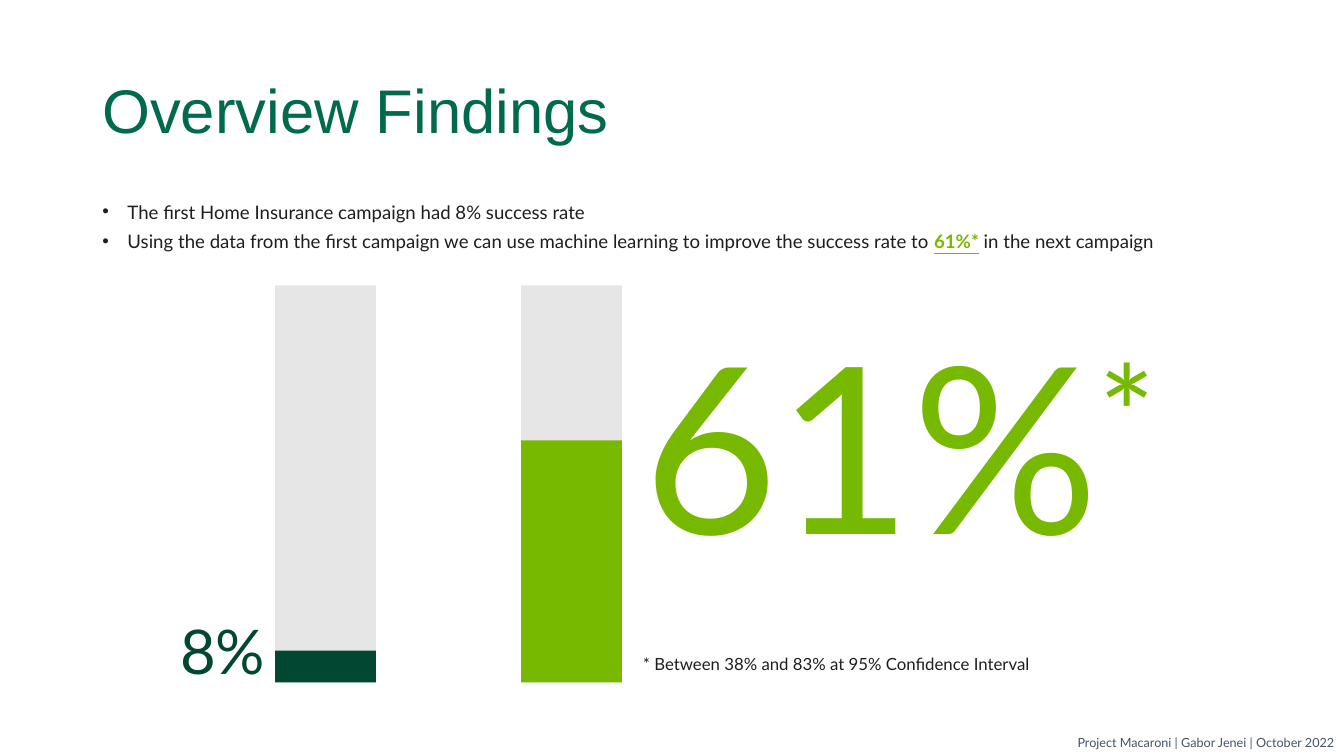
import pptx
import pptx.util
import pptx.dml.color
import pptx.enum.shapes
import pptx.enum.text
import lxml.etree

Pt = pptx.util.Pt
ALIGN = pptx.enum.text.PP_ALIGN
ANCHOR = pptx.enum.text.MSO_ANCHOR
HUES = {
    "title": "006A4D",
    "body": "1E1E1E",
    "lime": "77B800",
    "dark": "024731",
    "slate": "44546A",
    "track": "E7E6E6",
}


class Page:
    """Hold the style and the current slide, and draw its elements."""

    def __init__(self, deck, face="Lato"):
        self.slide = deck.slides.add_slide(deck.slide_layouts[6])
        self.face = face

    def hue(self, name):
        return pptx.dml.color.RGBColor.from_string(HUES[name])

    def run(self, para, text, hue, size, raised=0, **style):
        run = para.add_run()
        run.text = text
        style = {"name": self.face, "size": Pt(size), **style}
        for name, value in style.items():
            setattr(run.font, name, value)
        run.font.color.rgb = self.hue(hue)
        if raised:
            run.font._element.set("baseline", str(raised * 1000))

    def bullet(self, para):
        props = para._p.get_or_add_pPr()
        props.set("marL", str(Pt(18)))
        props.set("indent", str(Pt(-18)))
        tag = "{http://schemas.openxmlformats.org/drawingml/2006/main}"
        lxml.etree.SubElement(props, tag + "buFont", typeface="Arial")
        lxml.etree.SubElement(props, tag + "buChar", char="•")

    def text(self, box, lines, anchor=ANCHOR.TOP, bullets=False, **form):
        frame = self.slide.shapes.add_textbox(*map(Pt, box)).text_frame
        frame.word_wrap = True
        frame.vertical_anchor = anchor
        for row, runs in enumerate(lines):
            para = frame.add_paragraph() if row else frame.paragraphs[0]
            if bullets:
                self.bullet(para)
            for name, value in form.items():
                setattr(para, name, value)
            if row:
                para.space_before = Pt(10)
            for run in runs:
                self.run(para, **run)

    def block(self, left, top, width, height, hue):
        kind = pptx.enum.shapes.MSO_SHAPE.RECTANGLE
        shape = self.slide.shapes.add_shape(kind, *map(Pt, (left, top, width, height)))
        shape.shadow.inherit = False
        shape.fill.solid()
        shape.fill.fore_color.rgb = self.hue(hue)
        shape.line.fill.background()

    def gauge(self, left, share, hue, top=203.9, width=72, height=283.5):
        level = height * share
        self.block(left, top, width, height, "track")
        self.block(left, top + height - level, width, level, hue)


def main():
    deck = pptx.Presentation()
    deck.slide_width, deck.slide_height = Pt(960), Pt(540)
    page = Page(deck)

    page.text((66, 29, 828, 104.4),
              [[dict(text="Overview Findings", hue="title", size=44, name="Arial")]],
              anchor=ANCHOR.MIDDLE, line_spacing=0.9)

    plain = dict(hue="body", size=13.3)
    page.text((66, 144, 828, 44.6), [
        [dict(text="The first Home Insurance campaign had 8% success rate", **plain)],
        [dict(text="Using the data from the first campaign we can use machine "
                   "learning to improve the success rate to ", **plain),
         dict(text="61%*", hue="lime", size=13.3, bold=True, underline=True),
         dict(text=" in the next campaign", **plain)],
    ], bullets=True, line_spacing=0.7)

    page.text((100.8, 434.2, 95.8, 60.5),
              [[dict(text="8%", hue="dark", size=44)]], alignment=ALIGN.RIGHT)
    large = dict(hue="lime", size=166)
    page.text((452.2, 210.2, 401.8, 208.1),
              [[dict(text="61%", **large), dict(text="*", raised=30, **large)]],
              anchor=ANCHOR.BOTTOM)
    page.text((240, 522.7, 720, 17.3),
              [[dict(text="Project Macaroni | Gabor Jenei | October 2022",
                     hue="slate", size=9)]],
              alignment=ALIGN.RIGHT, line_spacing=0.9)

    for left, share, hue in ((196.6, 0.08, "dark"), (372.2, 0.61, "lime")):
        page.gauge(left, share, hue)

    page.text((452.2, 465.1, 393.8, 22.3),
              [[dict(text="* Between 38% and 83% at 95% Confidence Interval",
                     hue="body", size=12)]], line_spacing=0.9)
    deck.save("out.pptx")


if __name__ == "__main__":
    main()
